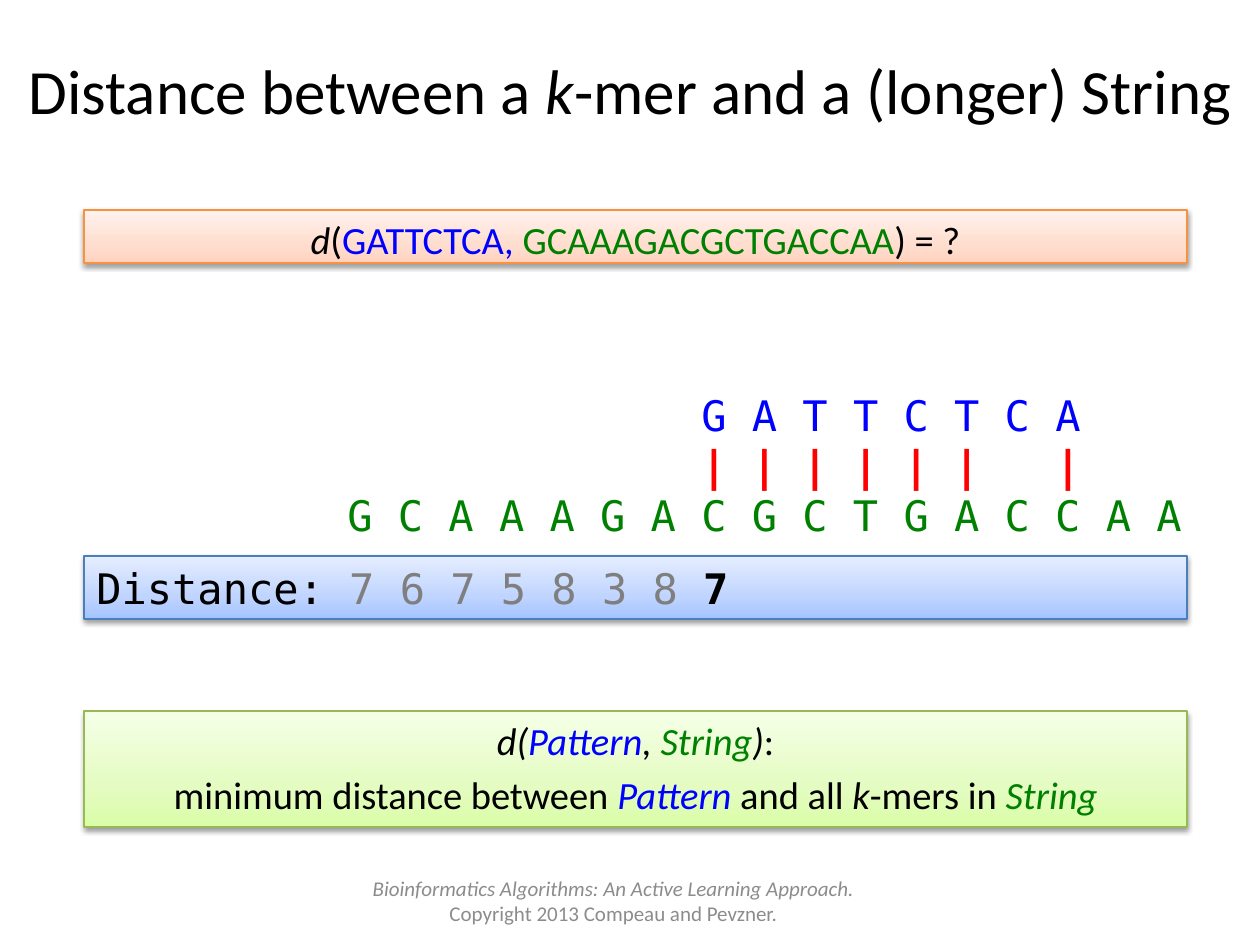
import pptx
import pptx.dml.color
import pptx.enum.shapes
import pptx.enum.text
import pptx.oxml.ns
import pptx.util
import lxml.etree
from dataclasses import dataclass


@dataclass(frozen=True)
class Theme:
    black: str = "000000"
    pattern: str = "0000FF"
    string: str = "008000"
    match: str = "FF0000"
    past: str = "7F7F7F"
    footer: str = "8C8C8C"
    sans: str = "Calibri"
    mono: str = "DejaVu Sans Mono"
    title_size: int = 36
    body_size: int = 22
    mono_size: int = 24
    footer_size: int = 12
    orange: tuple = ("F69240", "FFD2BD", "FFDED0", "FFF2ED")
    blue: tuple = ("4B7EBC", "A4C4FF", "BFD4FF", "E6EEFF")
    green: tuple = ("98B955", "DAFDA7", "E4FCC2", "F5FFE7")


T = Theme()
ALIGN = pptx.enum.text.PP_ALIGN
ANCHOR = pptx.enum.text.MSO_ANCHOR
PANEL_LEFT, PANEL_WIDTH = 84, 1103
PATTERN_OFFSET = 354
GRADIENT_STOPS = (0, 35, 100)

TITLE = [[("Distance between a ", T.black, ""), ("k", T.black, "i"),
          ("-mer and a (longer) String", T.black, "")]]
QUESTION = [[("d", T.black, "i"), ("(", T.black, ""), ("GATTCTCA, ", T.pattern, ""),
             ("GCAAAGACGCTGACCAA", T.string, ""), (") = ?", T.black, "")]]
ALIGNMENT = [
    [("\tG A T T C T C A", T.pattern, "")],
    [("\t| | | | | |\t|", T.match, "b")],
    [("G C A A A G A C G C T G A C C A A", T.string, "")],
]
DISTANCES = [[("Distance: ", T.black, ""), ("7 6 7 5 8 3 8 ", T.past, ""),
              ("7", T.black, "b")]]
DEFINITION = [
    [("d(", T.black, "i"), ("Pattern", T.pattern, "i"), (", ", T.black, "i"),
     ("String", T.string, "i"), (")", T.black, "i"), (":", T.black, "")],
    [("minimum distance between ", T.black, ""), ("Pattern ", T.pattern, "i"),
     ("and all ", T.black, ""), ("k", T.black, "i"), ("-mers in ", T.black, ""),
     ("String", T.string, "i")],
]
FOOTER = [
    [("Bioinformatics Algorithms: An Active Learning Approach.", T.footer, "i")],
    [("Copyright 2013 Compeau and Pevzner.", T.footer, "")],
]


def px(length):
    return pptx.util.Emu(round(length * 914400 / 126))


def add_xml(parent, tag, **attributes):
    element = lxml.etree.SubElement(parent, pptx.oxml.ns.qn(tag))
    for name, value in attributes.items():
        element.set(name, str(value))
    return element


def write(shape, paragraphs, face, size, align=ALIGN.LEFT, anchor=ANCHOR.TOP,
          gap=0, tabs=(), wrap=True):
    frame = shape.text_frame
    frame.word_wrap = wrap
    frame.vertical_anchor = anchor
    for index, runs in enumerate(paragraphs):
        paragraph = frame.paragraphs[0] if index == 0 else frame.add_paragraph()
        paragraph.alignment = align
        if index and gap:
            paragraph.space_before = pptx.util.Pt(gap)
        if tabs:
            stops = add_xml(paragraph._p.get_or_add_pPr(), "a:tabLst")
            for stop in tabs:
                add_xml(stops, "a:tab", pos=px(stop), algn="l")
        paragraph.font.name = face
        paragraph.font.size = pptx.util.Pt(size)
        for text, color, style in runs:
            run = paragraph.add_run()
            run.text = text
            run.font.color.rgb = pptx.dml.color.RGBColor.from_string(color)
            run.font.italic = "i" in style
            run.font.bold = "b" in style


def add_text(slide, box, paragraphs, face, size, **layout):
    write(slide.shapes.add_textbox(*map(px, box)), paragraphs, face, size, **layout)


def add_panel(slide, top, height, colors, paragraphs, face, size, **layout):
    panel = slide.shapes.add_shape(
        pptx.enum.shapes.MSO_SHAPE.RECTANGLE,
        *map(px, (PANEL_LEFT, top, PANEL_WIDTH, height)))
    border, *shades = colors
    panel.fill.gradient()
    panel.fill.gradient_angle = 90
    stops = panel._element.spPr.find(".//" + pptx.oxml.ns.qn("a:gsLst"))
    for stop in list(stops):
        stops.remove(stop)
    for position, shade in zip(GRADIENT_STOPS, shades):
        add_xml(add_xml(stops, "a:gs", pos=position * 1000), "a:srgbClr", val=shade)
    panel.line.color.rgb = pptx.dml.color.RGBColor.from_string(border)
    panel.line.width = pptx.util.Pt(0.75)
    panel.shadow.inherit = False
    effects = panel._element.spPr.find(pptx.oxml.ns.qn("a:effectLst"))
    shadow = add_xml(effects, "a:outerShdw", blurRad=pptx.util.Pt(3.1),
                     dist=pptx.util.Pt(1.6), dir=5400000, rotWithShape=0)
    add_xml(add_xml(shadow, "a:srgbClr", val=T.black), "a:alpha", val=38000)
    write(panel, paragraphs, face, size, **layout)


def main():
    deck = pptx.Presentation()
    deck.slide_width, deck.slide_height = px(1260), px(945)
    slide = deck.slides.add_slide(deck.slide_layouts[6])

    add_text(slide, (0, 10, 1260, 158), TITLE, T.sans, T.title_size,
             align=ALIGN.CENTER, anchor=ANCHOR.MIDDLE)
    add_panel(slide, 210, 53, T.orange, QUESTION, T.sans, T.body_size,
              align=ALIGN.CENTER)
    add_text(slide, (335, 383, 868, 165), ALIGNMENT, T.mono, T.mono_size,
             tabs=(PATTERN_OFFSET, 2 * PATTERN_OFFSET), wrap=False)
    add_panel(slide, 556, 63, T.blue, DISTANCES, T.mono, T.mono_size)
    add_panel(slide, 711, 116, T.green, DEFINITION, T.sans, T.body_size,
              align=ALIGN.CENTER, gap=4.4)
    add_text(slide, (325, 876, 577, 50), FOOTER, T.sans, T.footer_size,
             align=ALIGN.CENTER, anchor=ANCHOR.MIDDLE)
    deck.save("out.pptx")


if __name__ == "__main__":
    main()
